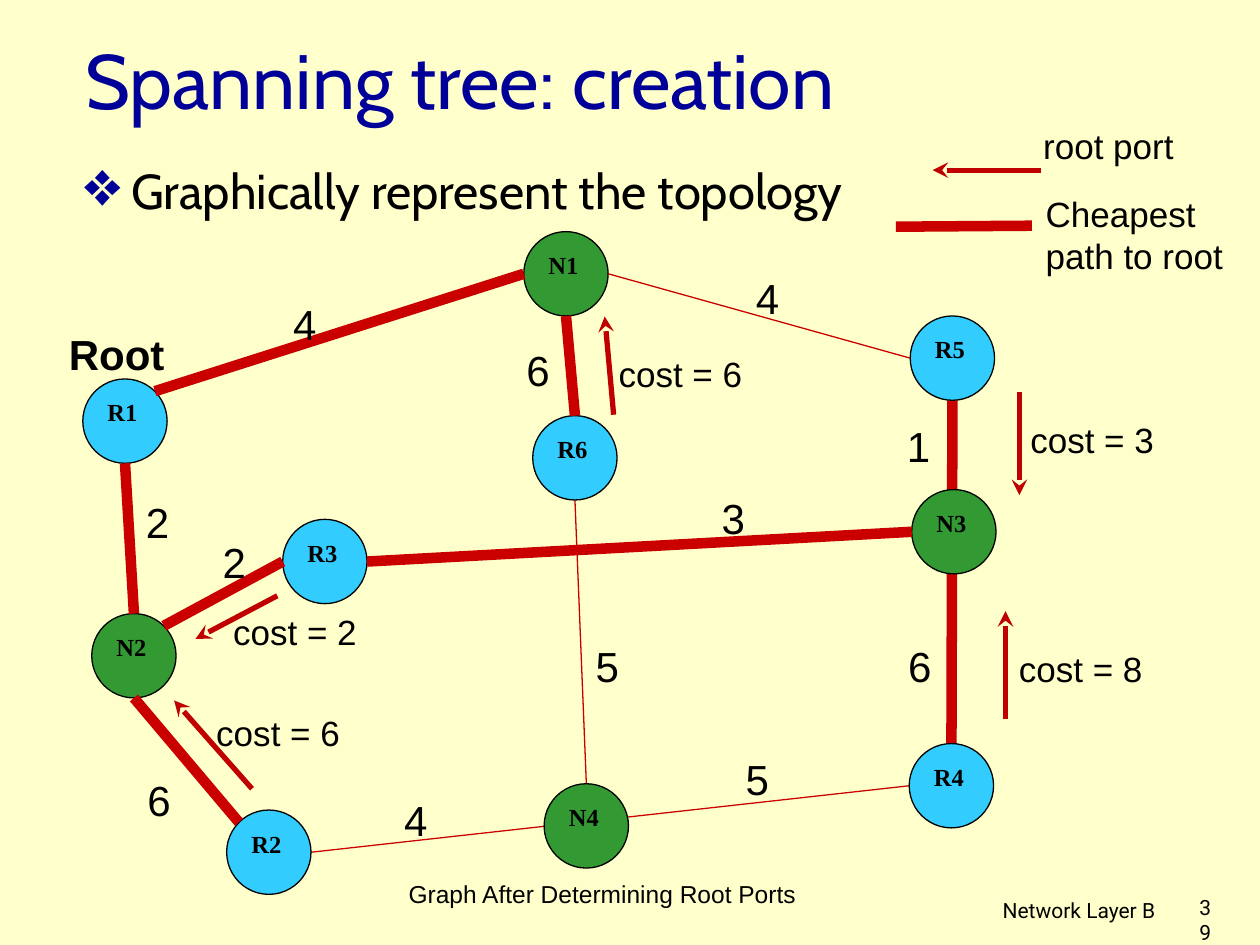
from dataclasses import dataclass

from lxml import etree
from pptx import Presentation
from pptx.dml.color import RGBColor
from pptx.enum.shapes import MSO_CONNECTOR, MSO_SHAPE
from pptx.enum.text import MSO_ANCHOR, PP_ALIGN
from pptx.oxml.ns import qn
from pptx.util import Cm, Pt

STRAIGHT = MSO_CONNECTOR.STRAIGHT
ELLIPSE = MSO_SHAPE.OVAL
TOP, MIDDLE = MSO_ANCHOR.TOP, MSO_ANCHOR.MIDDLE
LEFT, CENTER, RIGHT = PP_ALIGN.LEFT, PP_ALIGN.CENTER, PP_ALIGN.RIGHT

PAPER, BLACK, NAVY = "FFFFCC", "000000", "000099"
NETWORK_FILL, ROUTER_FILL = "339933", "33CCFF"
EDGE_RED, ARROW_RED = "CA0000", "C00000"
THIN, ARROW_WIDTH, THICK = 0.75, 3, 6
RADIUS = 0.85
DIAGONAL = 0.71
SIDES = {
    "top": (0, -1), "bottom": (0, 1), "left": (-1, 0), "right": (1, 0),
    "top left": (-DIAGONAL, -DIAGONAL), "top right": (DIAGONAL, -DIAGONAL),
}

Point = tuple[float, float]


@dataclass
class Edge:
    start: str
    start_side: str
    end: str
    end_side: str
    width: float


@dataclass
class PortArrow:
    start: Point
    end: Point
    text: str
    text_at: Point
    text_width: float = 3.02


@dataclass
class Label:
    text: str
    left: float
    top: float
    width: float
    height: float
    size: float
    font: str = "Arial"
    color: str = BLACK
    bold: bool = False
    align: PP_ALIGN = LEFT
    anchor: MSO_ANCHOR = TOP
    wrap: bool = True


# Node centres
NODES = {
    "N1": (11.41, 5.52), "N4": (11.82, 16.65), "N3": (19.23, 10.72),
    "N2": (2.7, 13.22), "R1": (2.52, 8.49), "R5": (19.2, 7.22),
    "R6": (11.59, 9.23), "R3": (6.55, 11.32), "R2": (5.42, 17.18),
    "R4": (19.18, 15.84),
}
EDGES_BEHIND_NODES = [
    Edge("R4", "left", "R2", "right", THIN),
    Edge("R5", "bottom", "R4", "top", THICK),
    Edge("R6", "bottom", "N4", "top", THIN),
]
EDGES_OVER_NODES = [
    Edge("N1", "left", "R1", "top right", THICK),
    Edge("R1", "bottom", "N2", "top", THICK),
    Edge("N2", "bottom", "R2", "top left", THICK),
    Edge("R3", "left", "N2", "top right", THICK),
    Edge("R3", "right", "N3", "left", THICK),
    Edge("N1", "right", "R5", "left", THIN),
    Edge("N1", "bottom", "R6", "top", THICK),
]
EDGE_COSTS = [
    ("4", 5.66, 5.89), ("4", 14.99, 5.36), ("6", 10.36, 6.83),
    ("1", 18.03, 8.36), ("6", 18.06, 12.78), ("6", 2.72, 15.49),
    ("4", 7.9, 15.9), ("2", 2.69, 9.88), ("2", 4.24, 10.69),
    ("3", 14.3, 9.8), ("5", 14.78, 15.06), ("5", 11.76, 12.78),
]
PORT_ARROWS = [
    PortArrow((20.55, 7.9), (20.55, 9.98), "cost = 3", (20.52, 8.31)),
    PortArrow((20.27, 14.5), (20.27, 12.32), "cost = 8", (20.29, 12.93)),
    PortArrow((12.37, 8.36), (12.19, 6.38), "cost = 6", (12.22, 6.99)),
    PortArrow((5.08, 15.9), (3.51, 14.12), "cost = 6", (4.11, 14.22)),
    PortArrow((5.59, 12.01), (3.94, 12.88), "cost = 2", (4.45, 12.19)),
    PortArrow((20.98, 3.43), (18.8, 3.43), "root port", (20.78, 2.39), 3.4),
]
TITLE = Label("Spanning tree: creation", 1.47, 0, 21.59, 3.18, 44, "Cabin", NAVY,
              anchor=MIDDLE)
TOPIC = Label("Graphically represent the topology", 1.45, 3.3, 21.59, 1.73, 28, "Cabin")
OTHER_LABELS = [
    Label("Graph After Determining Root Ports", 3.89, 17.6, 16.51, 0.84, 14,
          align=CENTER),
    Label("Root", 1.14, 6.5, 2.46, 1.3, 24, bold=True, wrap=False),
    Label("Cheapest\vpath to root", 20.83, 3.76, 4.29, 1.96, 20, wrap=False),
    Label("Network Layer B", 15.49, 17.96, 8.05, 0.79, 12, "Roboto", align=RIGHT),
    Label("39", 23.93, 17.91, 0.74, 0.76, 12, "Roboto"),
]


def rgb(color: str) -> RGBColor:
    return RGBColor.from_string(color)


def format_runs(paragraph, size: float, font: str, color: str, bold: bool) -> None:
    for span in paragraph.runs:
        span.font.size = Pt(size)
        span.font.name = font
        span.font.bold = bold
        span.font.color.rgb = rgb(color)


def add_label(page, label: Label):
    box = page.shapes.add_textbox(
        Cm(label.left), Cm(label.top), Cm(label.width), Cm(label.height))
    frame = box.text_frame
    frame.word_wrap = label.wrap
    frame.vertical_anchor = label.anchor
    frame.text = label.text
    paragraph = frame.paragraphs[0]
    paragraph.alignment = label.align
    format_runs(paragraph, label.size, label.font, label.color, label.bold)
    return paragraph


def add_bullet(paragraph, symbol: str, color: str) -> None:
    paragraph.line_spacing = 0.85
    properties = paragraph._p.get_or_add_pPr()
    properties.set("marL", str(Cm(0.95)))
    properties.set("indent", str(-Cm(0.95)))
    bullet_color = etree.SubElement(properties, qn("a:buClr"))
    etree.SubElement(bullet_color, qn("a:srgbClr"), val=color)
    etree.SubElement(properties, qn("a:buSzPct"), val="130000")
    etree.SubElement(properties, qn("a:buChar"), char=symbol)


def add_line(page, start: Point, end: Point, color: str, width: float,
             arrow: bool = False) -> None:
    line = page.shapes.add_connector(STRAIGHT, *map(Cm, start + end))
    line.line.color.rgb = rgb(color)
    line.line.width = Pt(width)
    if arrow:
        etree.SubElement(line.line._get_or_add_ln(), qn("a:tailEnd"), type="stealth")
    etree.SubElement(line._element.spPr, qn("a:effectLst"))


def rim_point(node: str, side: str) -> Point:
    """Return the point on the node's circle that faces the given side."""
    (x, y), (across, down) = NODES[node], SIDES[side]
    return x + RADIUS * across, y + RADIUS * down


def add_edge(page, edge: Edge) -> None:
    add_line(page, rim_point(edge.start, edge.start_side),
             rim_point(edge.end, edge.end_side), EDGE_RED, edge.width)


def add_node(page, name: str, center: Point) -> None:
    x, y = center
    node = page.shapes.add_shape(
        ELLIPSE, Cm(x - RADIUS), Cm(y - RADIUS), Cm(2 * RADIUS), Cm(2 * RADIUS))
    node.shadow.inherit = False
    node.fill.solid()
    node.fill.fore_color.rgb = rgb(NETWORK_FILL if name.startswith("N") else ROUTER_FILL)
    node.line.color.rgb = rgb(BLACK)
    node.line.width = Pt(THIN)
    frame = node.text_frame
    frame.vertical_anchor = TOP
    frame.text = name
    frame.paragraphs[0].alignment = LEFT
    format_runs(frame.paragraphs[0], 14, "Times New Roman", BLACK, True)


def main() -> None:
    deck = Presentation()
    deck.slide_width, deck.slide_height = Cm(25.4), Cm(19.05)
    page = deck.slides.add_slide(deck.slide_layouts[6])
    page.background.fill.solid()
    page.background.fill.fore_color.rgb = rgb(PAPER)

    for edge in EDGES_BEHIND_NODES:
        add_edge(page, edge)
    add_label(page, TITLE)
    add_bullet(add_label(page, TOPIC), "❖", NAVY)
    for name, center in NODES.items():
        add_node(page, name, center)
    for edge in EDGES_OVER_NODES:
        add_edge(page, edge)
    for cost, left, top in EDGE_COSTS:
        add_label(page, Label(cost, left, top, 0.99, 1.29, 24, wrap=False))
    for arrow in PORT_ARROWS:
        add_line(page, arrow.start, arrow.end, ARROW_RED, ARROW_WIDTH, arrow=True)
        add_label(page, Label(arrow.text, *arrow.text_at, arrow.text_width, 1.12, 20))
    add_line(page, (20.8, 4.55), (18.06, 4.57), EDGE_RED, THICK)
    for label in OTHER_LABELS:
        add_label(page, label)
    deck.save("out.pptx")


if __name__ == "__main__":
    main()
